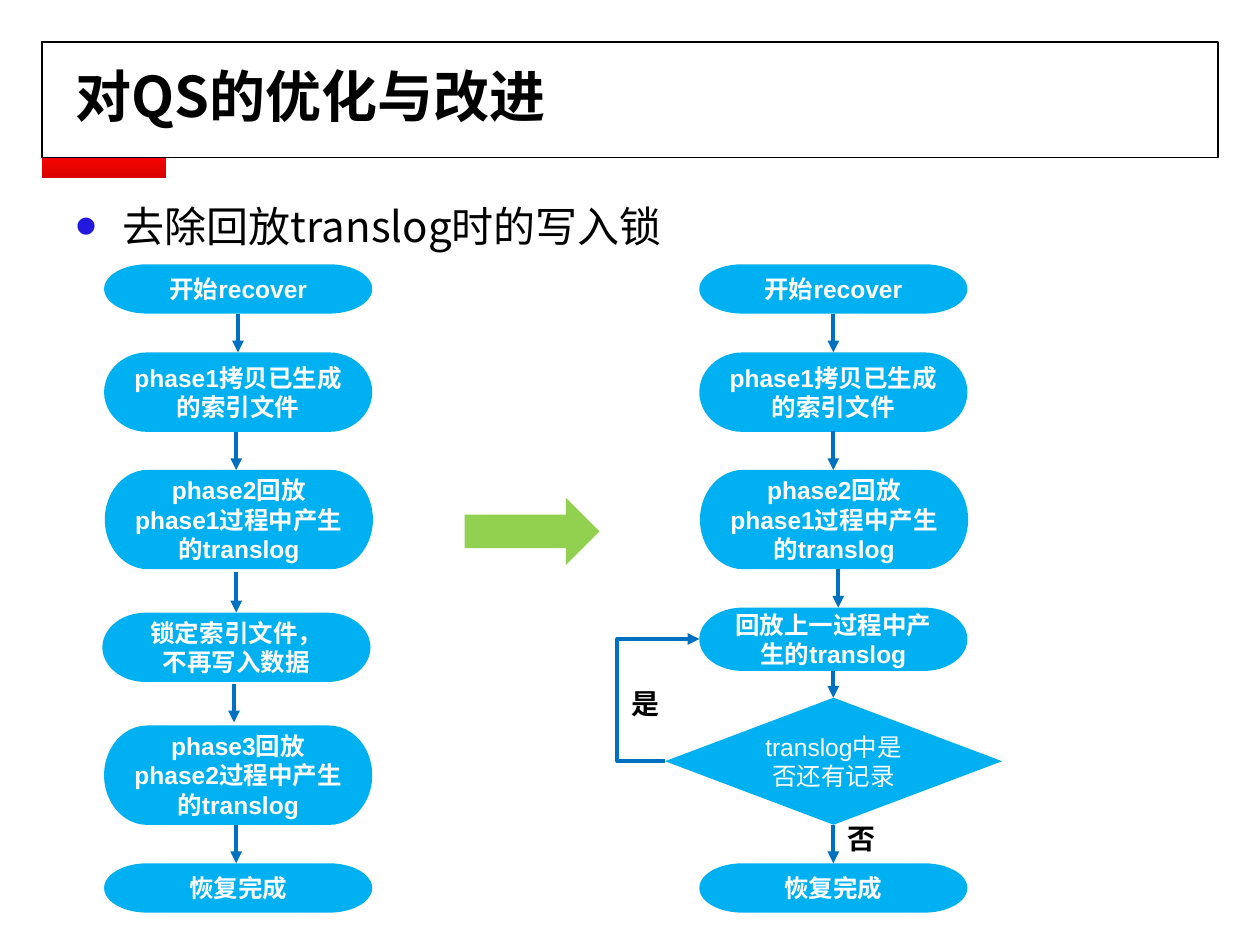
from dataclasses import dataclass
from typing import NamedTuple

from lxml.etree import SubElement
from pptx import Presentation
from pptx.dml.color import RGBColor
from pptx.enum.shapes import MSO_CONNECTOR, MSO_SHAPE
from pptx.enum.text import MSO_ANCHOR, MSO_AUTO_SIZE, PP_ALIGN
from pptx.oxml.ns import qn
from pptx.util import Pt


@dataclass(frozen=True)
class Theme:
    ink: str = "000000"
    white: str = "FFFFFF"
    node: str = "00B0F0"
    wire: str = "0070C0"
    arrow: str = "92D050"
    dot: str = "2318DE"
    reds: tuple = ("F50400", "D70200")
    title: float = 32
    body: float = 24
    step: float = 14
    label: float = 16
    han: str = "Noto Sans CJK SC"
    latin: str = "Arial"


class Box(NamedTuple):
    x: float
    y: float
    w: float
    h: float


class Node(NamedTuple):
    box: Box
    text: str
    kind: int = MSO_SHAPE.FLOWCHART_TERMINATOR
    bold: bool = True


class Link(NamedTuple):
    x: float
    top: float
    end: float


class Label(NamedTuple):
    box: Box
    text: str


LOOK = Theme()
LEFT, RIGHT, WIDE = 59.5, 399.6, 153.2


def tint(code: str) -> RGBColor:
    return RGBColor.from_string(code)


def place(shape, box: Box) -> None:
    shape.left, shape.top, shape.width, shape.height = map(Pt, box)


def write(frame, text: str, size: float, face: str, hue: str,
          bold: bool = False, align=PP_ALIGN.LEFT) -> None:
    for i, line in enumerate(text.split("\n")):
        para = frame.add_paragraph() if i else frame.paragraphs[0]
        para.alignment = align
        run = para.add_run()
        run.text = line
        font = run.font
        font.size, font.bold, font.name = Pt(size), bold, face
        font.color.rgb = tint(hue)
        SubElement(run._r.get_or_add_rPr(), qn("a:ea"), typeface=LOOK.han)


def block(slide, kind: int, box: Box, fill: str = ""):
    shape = slide.shapes.add_shape(kind, *map(Pt, box))
    shape.shadow.inherit = False
    shape.line.fill.background()
    if fill:
        shape.fill.solid()
        shape.fill.fore_color.rgb = tint(fill)
    else:
        shape.fill.background()
    return shape


def step(slide, node: Node) -> None:
    frame = block(slide, node.kind, node.box, LOOK.node).text_frame
    frame.word_wrap = True
    frame.vertical_anchor = MSO_ANCHOR.MIDDLE
    write(frame, node.text, LOOK.step, LOOK.latin, LOOK.white, node.bold, PP_ALIGN.CENTER)


def wire(slide, kind: int, *ends: float):
    line = slide.shapes.add_connector(kind, *map(Pt, ends))
    line.line.color.rgb = tint(LOOK.wire)
    line.line.width = Pt(2.25)
    prop = line._element.spPr
    SubElement(prop.find(qn("a:ln")), qn("a:tailEnd"), type="triangle")
    SubElement(prop, qn("a:effectLst"))
    return line


def loop(slide, bend: int, *ends: float) -> None:
    line = wire(slide, MSO_CONNECTOR.ELBOW, *ends)
    geom = line._element.spPr.find(qn("a:prstGeom"))
    SubElement(geom.find(qn("a:avLst")), qn("a:gd"), name="adj1", fmla=f"val {bend}")


def note(slide, label: Label) -> None:
    frame = slide.shapes.add_textbox(*map(Pt, label.box)).text_frame
    frame.word_wrap = False
    frame.auto_size = MSO_AUTO_SIZE.SHAPE_TO_FIT_TEXT
    write(frame, label.text, LOOK.label, LOOK.latin, LOOK.ink, True)


def holder(shape, box: Box, text: str, size: float, bold: bool):
    place(shape, box)
    frame = shape.text_frame
    frame.word_wrap = True
    frame.auto_size = MSO_AUTO_SIZE.NONE
    frame.vertical_anchor = MSO_ANCHOR.TOP
    write(frame, text, size, LOOK.han, LOOK.ink, bold)
    return frame.paragraphs[0]


def bullet(para) -> None:
    para.space_before = Pt(0)
    prop = para._p.get_or_add_pPr()
    prop.set("marL", str(Pt(27)))
    prop.set("indent", str(-Pt(27)))
    SubElement(SubElement(prop, qn("a:buClr")), qn("a:srgbClr"), val=LOOK.dot)
    SubElement(prop, qn("a:buSzPct"), val="150000")
    SubElement(prop, qn("a:buFont"), typeface=LOOK.latin)
    SubElement(prop, qn("a:buChar"), char="•")


def header(slide) -> None:
    frame = block(slide, MSO_SHAPE.RECTANGLE, Box(24, 24, 672, 66))
    frame.line.color.rgb = tint(LOOK.ink)
    frame.line.width = Pt(0.75)
    bar = block(slide, MSO_SHAPE.RECTANGLE, Box(24, 90, 70.8, 12))
    bar.fill.gradient()
    bar.fill.gradient_angle = 270
    for stop, hue in zip(bar.fill.gradient_stops, LOOK.reds):
        stop.color.rgb = tint(hue)
    title, body = slide.placeholders
    holder(title, Box(36, 31.7, 648, 51), "对QS的优化与改进", LOOK.title, True)
    bullet(holder(body, Box(36, 111.2, 648, 33.8), "去除回放translog时的写入锁", LOOK.body, False))


def shared(x: float) -> list[Node]:
    return [
        Node(Box(x, 151, WIDE, 28.2), "开始recover"),
        Node(Box(x, 201.4, WIDE, 45.4), "phase1拷贝已生成的索引文件"),
        Node(Box(x + 0.4, 268.5, WIDE, 56.8), "phase2回放phase1过程中产生的translog"),
        Node(Box(x, 493.3, WIDE, 28.2), "恢复完成"),
    ]


NODES = shared(LEFT) + shared(RIGHT) + [
    Node(Box(58.5, 350.1, WIDE, 39.6), "锁定索引文件，\n不再写入数据"),
    Node(Box(LEFT, 414.6, WIDE, 56.8), "phase3回放phase2过程中产生的translog"),
    Node(Box(RIGHT, 347.2, WIDE, 36.2), "回放上一过程中产生的translog"),
    Node(Box(380, 398.7, 192.6, 72.6), "translog中是否还有记录", MSO_SHAPE.FLOWCHART_DECISION, False),
]
LINKS = [
    Link(136, 179.3, 201.4), Link(135, 246.8, 268.6), Link(135, 326.9, 350),
    Link(133.7, 391, 412.8), Link(135, 471.4, 493.3),
    Link(476.2, 179.3, 201.4), Link(476.2, 246.5, 268.6), Link(479, 325, 347.2),
    Link(476.2, 383.4, 398.7), Link(476.2, 471.4, 493.3),
]
LABELS = [
    Label(Box(353.8, 388.8, 31, 26.6), "是"),
    Label(Box(477.2, 465.8, 31, 26.6), "否"),
]


def main() -> None:
    deck = Presentation()
    deck.slide_width, deck.slide_height = Pt(720), Pt(540)
    slide = deck.slides.add_slide(deck.slide_layouts[1])
    header(slide)
    for node in NODES:
        step(slide, node)
    for link in LINKS:
        wire(slide, MSO_CONNECTOR.STRAIGHT, link.x, link.top, link.x, link.end)
    loop(slide, -139000, 380, 435, RIGHT, 365.2)
    for label in LABELS:
        note(slide, label)
    block(slide, MSO_SHAPE.RIGHT_ARROW, Box(265.5, 284.5, 77.1, 38.3), LOOK.arrow)
    deck.save("out.pptx")


if __name__ == "__main__":
    main()
